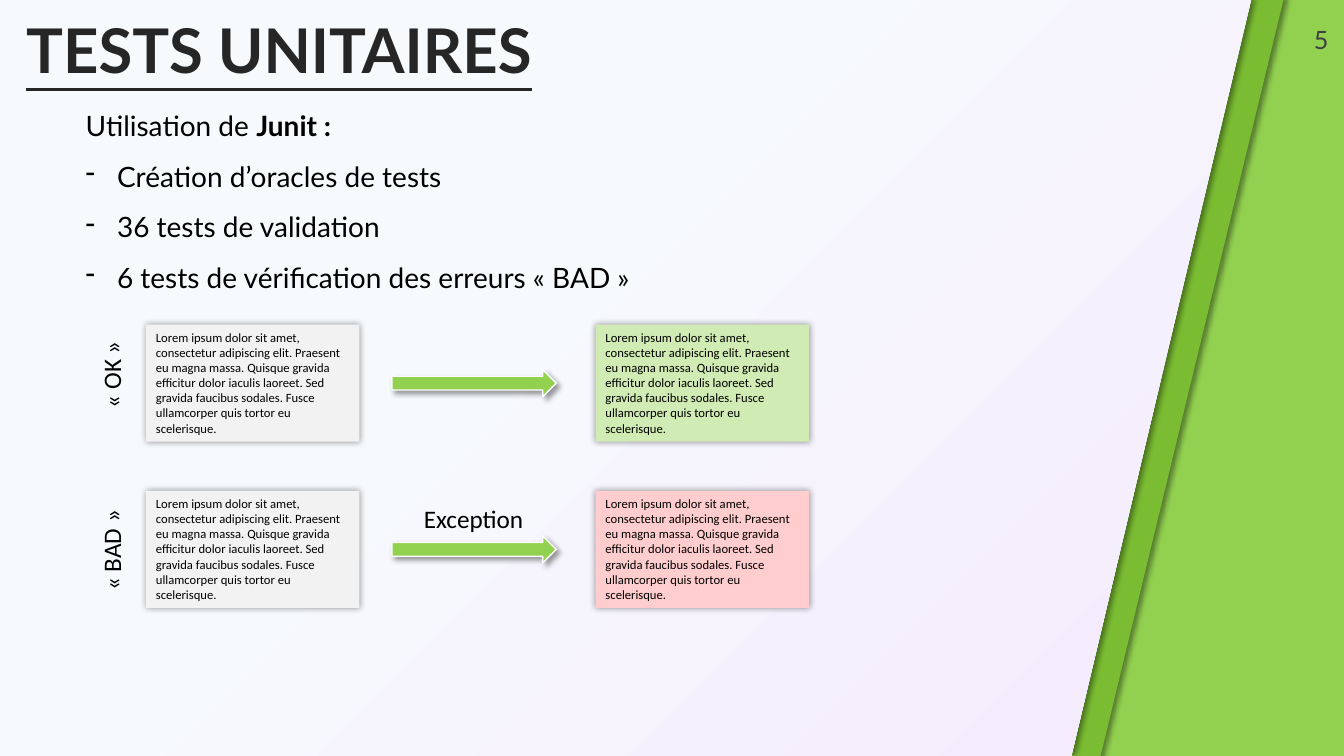
from dataclasses import dataclass

from lxml import etree
from pptx import Presentation
from pptx import util as u
from pptx.dml import color
from pptx.enum import shapes, text
from pptx.oxml import ns


@dataclass(frozen=True)
class Theme:
    lime: str = "92D050"
    leaf: str = "7ABC32"
    sky: str = "F7FAFD"
    lilac: str = "F4E9FD"
    grey: str = "F2F2F2"
    mint: str = "D0EBB3"
    rose: str = "FFCDCD"
    white: str = "FFFFFF"
    black: str = "000000"
    ink: str = "262626"
    dim: str = "404040"
    head: str = "Lato"
    body: str = "Calibri"
    title: int = 44
    lead: int = 20
    label: int = 18
    small: int = 9


LOREM = ("Lorem ipsum dolor sit amet, consectetur adipiscing elit. Praesent eu "
         "magna massa. Quisque gravida efficitur dolor iaculis laoreet. Sed "
         "gravida faucibus sodales. Fusce ullamcorper quis tortor eu scelerisque.")


def rgb(code):
    return color.RGBColor.from_string(code)


class Deck:
    """Holds the style and the current slide."""

    def __init__(self, theme):
        self.theme = theme
        self.prs = Presentation()
        self.prs.slide_width, self.prs.slide_height = u.Cm(33.87), u.Cm(19.05)
        self.slide = self.prs.slides.add_slide(self.prs.slide_layouts[6])
        self.items = self.slide.shapes

    def shade(self, shape, blur, dist=0, angle=0):
        """Soft black outer shadow; blur and distance in points."""
        shape.shadow.inherit = False
        effects = shape.fill._xPr.find(ns.qn("a:effectLst"))
        outer = etree.SubElement(
            effects, ns.qn("a:outerShdw"), blurRad=str(u.Pt(blur)),
            dist=str(u.Pt(dist)), dir=str(angle * 60000),
            algn="ctr", rotWithShape="0")
        tint = etree.SubElement(outer, ns.qn("a:srgbClr"), val=self.theme.black)
        etree.SubElement(tint, ns.qn("a:alpha"), val="40000")

    def shape(self, kind, x, y, w, h, fill):
        item = self.items.add_shape(kind, *map(u.Cm, (x, y, w, h)))
        item.shadow.inherit = False
        item.fill.solid()
        item.fill.fore_color.rgb = rgb(fill)
        item.line.fill.background()
        return item

    def rect(self, *args):
        return self.shape(shapes.MSO_SHAPE.RECTANGLE, *args)

    def panel(self, points):
        """Pale gradient sheet behind the content."""
        first, *rest = [tuple(map(u.Cm, point)) for point in points]
        pen = self.items.build_freeform(*first)
        pen.add_line_segments(rest)
        item = pen.convert_to_shape()
        item.line.fill.background()
        item.fill.gradient()
        item.fill.gradient_angle = 315
        stops = ((0.38, self.theme.sky), (1, self.theme.lilac))
        for stop, (place, tone) in zip(item.fill.gradient_stops, stops):
            stop.position = place
            stop.color.rgb = rgb(tone)
        self.shade(item, 4, 3)

    def style(self, para, size, face, tone=None):
        for run in para.runs:
            run.font.size = u.Pt(size)
            run.font.name = face
            run.font.color.rgb = rgb(tone or self.theme.black)

    def text(self, words, x, y, w, h, size, face, tone=None, align="LEFT"):
        item = self.items.add_textbox(*map(u.Cm, (x, y, w, h)))
        frame = item.text_frame
        frame.word_wrap = True
        frame.text = words
        for para in frame.paragraphs:
            para.alignment = text.PP_ALIGN[align]
            self.style(para, size, face, tone)
        return item

    def bullet(self, para):
        props = para._p.get_or_add_pPr()
        props.set("marL", str(u.Cm(0.79)))
        props.set("indent", str(-u.Cm(0.79)))
        etree.SubElement(props, ns.qn("a:buChar"), char="-")

    def card(self, x, y, fill):
        item = self.rect(x, y, 5.38, 2.95, fill)
        self.shade(item, 5)
        frame = item.text_frame
        frame.word_wrap = True
        frame.vertical_anchor = text.MSO_ANCHOR.TOP
        frame.text = LOREM
        para = frame.paragraphs[0]
        para.alignment = text.PP_ALIGN.LEFT
        self.style(para, self.theme.small, self.theme.body)

    def arrow(self, x, y):
        item = self.shape(shapes.MSO_SHAPE.RIGHT_ARROW, x, y, 4.14, 0.69,
                          self.theme.lime)
        item.line.color.rgb = rgb(self.theme.white)
        item.line.width = u.Pt(1)
        self.shade(item, 4, 3, 45)


def main():
    theme = Theme()
    deck = Deck(theme)

    # Backdrop
    deck.rect(26.77, 0, 7.1, 19.05, theme.lime)
    strip = deck.rect(29.18, -0.43, 0.84, 19.99, theme.leaf)
    strip.rotation = 13.6
    deck.shade(strip, 4, 3)
    deck.panel([(0, 0), (31.53, 0), (27, 19.05), (0, 19.05)])

    # Title and page number
    title = deck.text("TESTS UNITAIRES", 0.41, 0.38, 29.21, 2.26,
                      theme.title, theme.head, theme.ink)
    para = title.text_frame.paragraphs[0]
    para.line_spacing = 0.9
    para.runs[0].font.bold = para.runs[0].font.underline = True
    page = deck.text("5", 26.11, 0.48, 7.62, 1.02, theme.label, theme.head,
                     theme.dim, "RIGHT")
    page.text_frame.vertical_anchor = text.MSO_ANCHOR.MIDDLE

    # Key points
    points = ("Utilisation de ", "Création d’oracles de tests",
              "36 tests de validation",
              "6 tests de vérification des erreurs « BAD »")
    notes = deck.text("\n".join(points), 1.91, 2.62, 15.95, 4.95,
                      theme.lead, theme.head)
    intro, *rest = notes.text_frame.paragraphs
    tool = intro.add_run()
    tool.text = "Junit :"
    deck.style(intro, theme.lead, theme.head)
    tool.font.bold = True
    for para in rest:
        deck.bullet(para)
    for para in (intro, *rest):
        para.space_after = u.Pt(12)

    # Test cases: label, its top, row top, result colour
    rows = (("« OK »", 8.74, 8.18, theme.mint),
            ("« BAD »", 13.34, 12.37, theme.rose))
    for name, place, top, tone in rows:
        deck.card(3.68, top, theme.grey)
        deck.card(15.01, top, tone)
        label = deck.text(name, 1.52, place, 2.57, 1.02, theme.label, theme.body)
        label.rotation = 270
        deck.arrow(9.88, top + 1.13)
    deck.text("Exception", 10.13, 12.57, 3.61, 1.02, theme.label, theme.body,
              align="CENTER")

    deck.prs.save("out.pptx")


if __name__ == "__main__":
    main()
